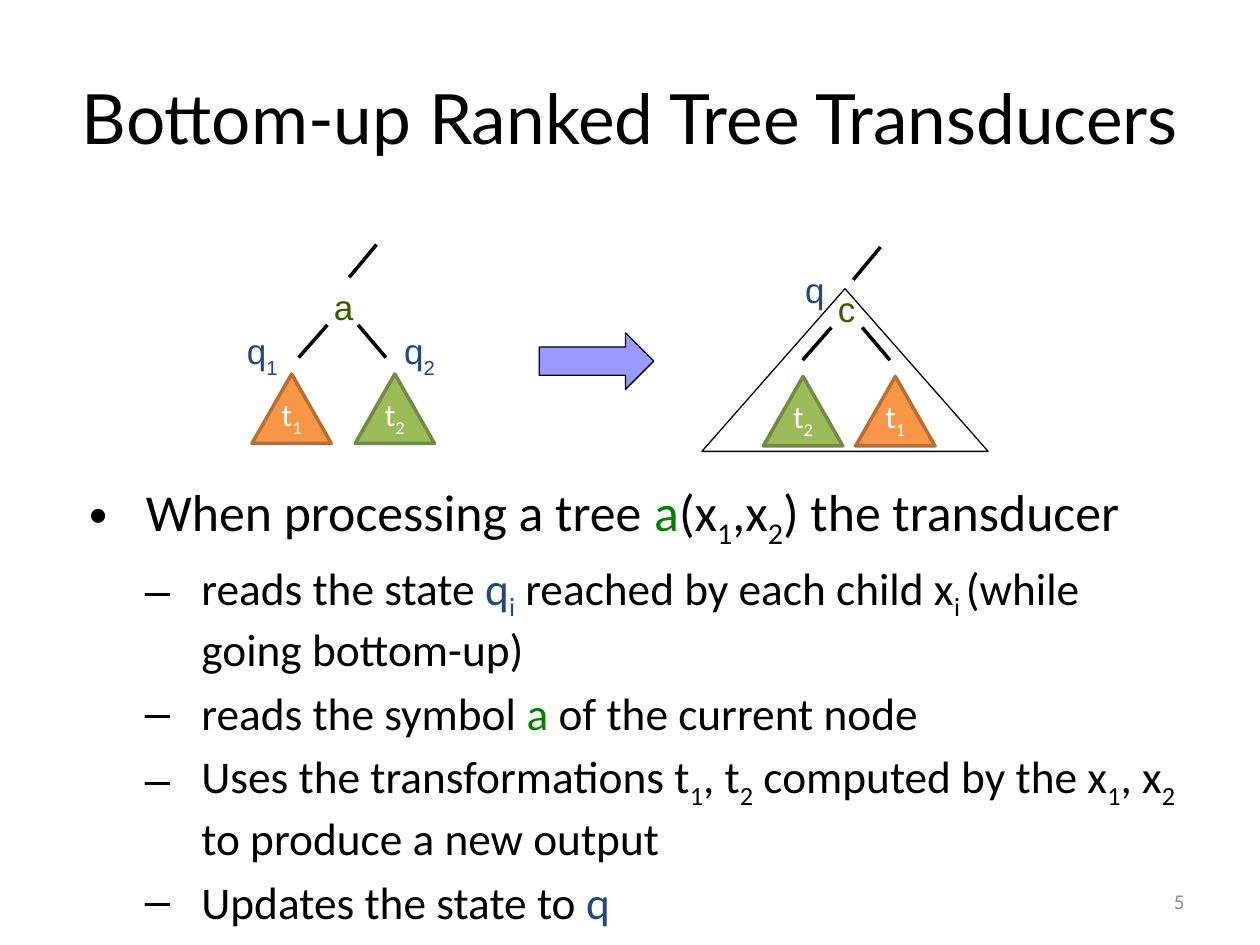
from lxml.etree import SubElement
from pptx import Presentation
from pptx.dml.color import RGBColor
from pptx.enum.shapes import MSO_CONNECTOR, MSO_SHAPE
from pptx.enum.text import MSO_ANCHOR as Anchor, MSO_AUTO_SIZE, PP_ALIGN as Align
from pptx.oxml.ns import qn
from pptx.util import Cm, Pt

BLACK, WHITE, GREY = "000000", "FFFFFF", "8C8C8C"
STATE, SYMBOL, NODE = "1F497D", "008000", "355E00"
SUBTREES = {"t_1": ("F79646", "B76F34"), "t_2": ("9BBB59", "738A42")}

BULLETS = [
    (0, [("When processing a tree ", BLACK), ("a", SYMBOL),
         ("(x_1_,x_2_) the transducer", BLACK)]),
    (1, [("reads the state ", BLACK), ("q_i", STATE),
         (" reached by each child x_i _(while going bottom-up)", BLACK)]),
    (1, [("reads the symbol ", BLACK), ("a", SYMBOL), (" of the current node", BLACK)]),
    (1, [("Uses the transformations t_1_, t_2_ computed by the x_1_, x_2_"
          " to produce a new output", BLACK)]),
    (1, [("Updates the state to ", BLACK), ("q", STATE)]),
]


def rgb(hex_colour):
    return RGBColor.from_string(hex_colour)


def write(paragraph, text, size=18, font="Calibri", colour=BLACK, align=None, drop=-25):
    """Add text in which every second piece between underscores is a subscript."""
    if align is not None:
        paragraph.alignment = align
    for i, piece in enumerate(text.split("_")):
        if not piece:
            continue
        run = paragraph.add_run()
        run.text = piece
        run.font.size = Pt(size)
        run.font.name = font
        run.font.color.rgb = rgb(colour)
        if i % 2:
            run.font._element.set("baseline", str(drop * 1000))


def set_insets(frame):
    frame.margin_left = frame.margin_right = Cm(0.23)
    frame.margin_top = frame.margin_bottom = Cm(0.11)


def add_box(slide, x, y, width, height, anchor=Anchor.TOP):
    frame = slide.shapes.add_textbox(Cm(x), Cm(y), Cm(width), Cm(height)).text_frame
    frame.word_wrap = True
    frame.vertical_anchor = anchor
    return frame


def add_label(slide, text, x, y, colour, width=1.22):
    frame = add_box(slide, x, y, width, 1.09)
    set_insets(frame)
    frame.auto_size = MSO_AUTO_SIZE.SHAPE_TO_FIT_TEXT
    write(frame.paragraphs[0], text, size=20, font="Arial", colour=colour, drop=-33)


def add_figure(slide, kind, x, y, width, height, fill=None, line=BLACK, weight=0):
    figure = slide.shapes.add_shape(kind, Cm(x), Cm(y), Cm(width), Cm(height))
    figure.shadow.inherit = False
    if fill:
        figure.fill.solid()
        figure.fill.fore_color.rgb = rgb(fill)
    else:
        figure.fill.background()
    figure.line.color.rgb = rgb(line)
    figure.line.width = Pt(weight)
    return figure


def add_edge(slide, x1, y1, x2, y2):
    edge = slide.shapes.add_connector(
        MSO_CONNECTOR.STRAIGHT, Cm(x1), Cm(y1), Cm(x2), Cm(y2))
    edge.line.color.rgb = rgb(BLACK)
    edge.line.width = Pt(0)
    SubElement(edge._element.spPr, qn("a:effectLst"))


def add_subtree(slide, name, x, y):
    fill, line = SUBTREES[name]
    subtree = add_figure(slide, MSO_SHAPE.ISOSCELES_TRIANGLE, x, y, 1.6, 1.4, fill, line, 2)
    frame = subtree.text_frame
    set_insets(frame)
    frame.word_wrap = False
    frame.vertical_anchor = Anchor.BOTTOM
    write(frame.paragraphs[0], name, colour=WHITE, align=Align.CENTER)


def add_tree(slide, symbol, x, y, subtrees):
    """Draw a node with its stem, two edges and the subtrees, given as (name, left)."""
    add_label(slide, symbol, x, y + 0.71, NODE, width=0.84)
    add_edge(slide, x + 1.09, y, x + 0.54, y + 0.66)
    add_edge(slide, x + 0.1, y + 1.62, x - 0.48, y + 2.28)
    add_edge(slide, x + 0.72, y + 1.62, x + 1.28, y + 2.28)
    for name, left in subtrees:
        add_subtree(slide, name, left, y + 2.61)


def add_bullets(slide, bullets):
    frame = add_box(slide, 1.27, 9.55, 22.86, 9.37)
    for i, (level, runs) in enumerate(bullets):
        paragraph = frame.add_paragraph() if i else frame.paragraphs[0]
        size = (29.6, 25.9)[level]
        paragraph.level = level
        paragraph.space_before = Pt(size * 0.2 if i else 0)
        properties = paragraph._p.get_or_add_pPr()
        properties.set("marL", str(Cm((1.42, 2.54)[level])))
        properties.set("indent", str(Cm(-1.14)))
        SubElement(properties, qn("a:buFont"), typeface="Arial")
        SubElement(properties, qn("a:buChar"), char="•–"[level])
        for text, colour in runs:
            write(paragraph, text, size=size, colour=colour)


def main():
    prs = Presentation()
    prs.slide_width, prs.slide_height = Cm(25.4), Cm(19.05)
    slide = prs.slides.add_slide(prs.slide_layouts[6])

    title = add_box(slide, 1.27, 0.76, 22.86, 3.18, Anchor.MIDDLE)
    write(title.paragraphs[0], "Bottom-up Ranked Tree Transducers",
          size=39.6, font="Lato", align=Align.CENTER)
    add_bullets(slide, BULLETS)

    add_tree(slide, "a", 6.5, 4.93, [("t_1", 5.08), ("t_2", 7.16)])
    add_label(slide, "q_1", 4.75, 6.53, STATE)
    add_label(slide, "q_2", 7.92, 6.53, STATE)

    add_figure(slide, MSO_SHAPE.RIGHT_ARROW, 10.87, 6.71, 2.31, 1.14, "9999FF")

    add_tree(slide, "c", 16.66, 4.98, [("t_1", 17.25), ("t_2", 15.39)])
    add_label(slide, "q", 16, 5.31, STATE)
    add_figure(slide, MSO_SHAPE.ISOSCELES_TRIANGLE, 14.15, 5.82, 5.77, 3.28)

    page_number = add_box(slide, 18.21, 17.65, 5.92, 1.02, Anchor.MIDDLE)
    write(page_number.paragraphs[0], "5", size=12, colour=GREY, align=Align.RIGHT)
    prs.save("out.pptx")


if __name__ == "__main__":
    main()
